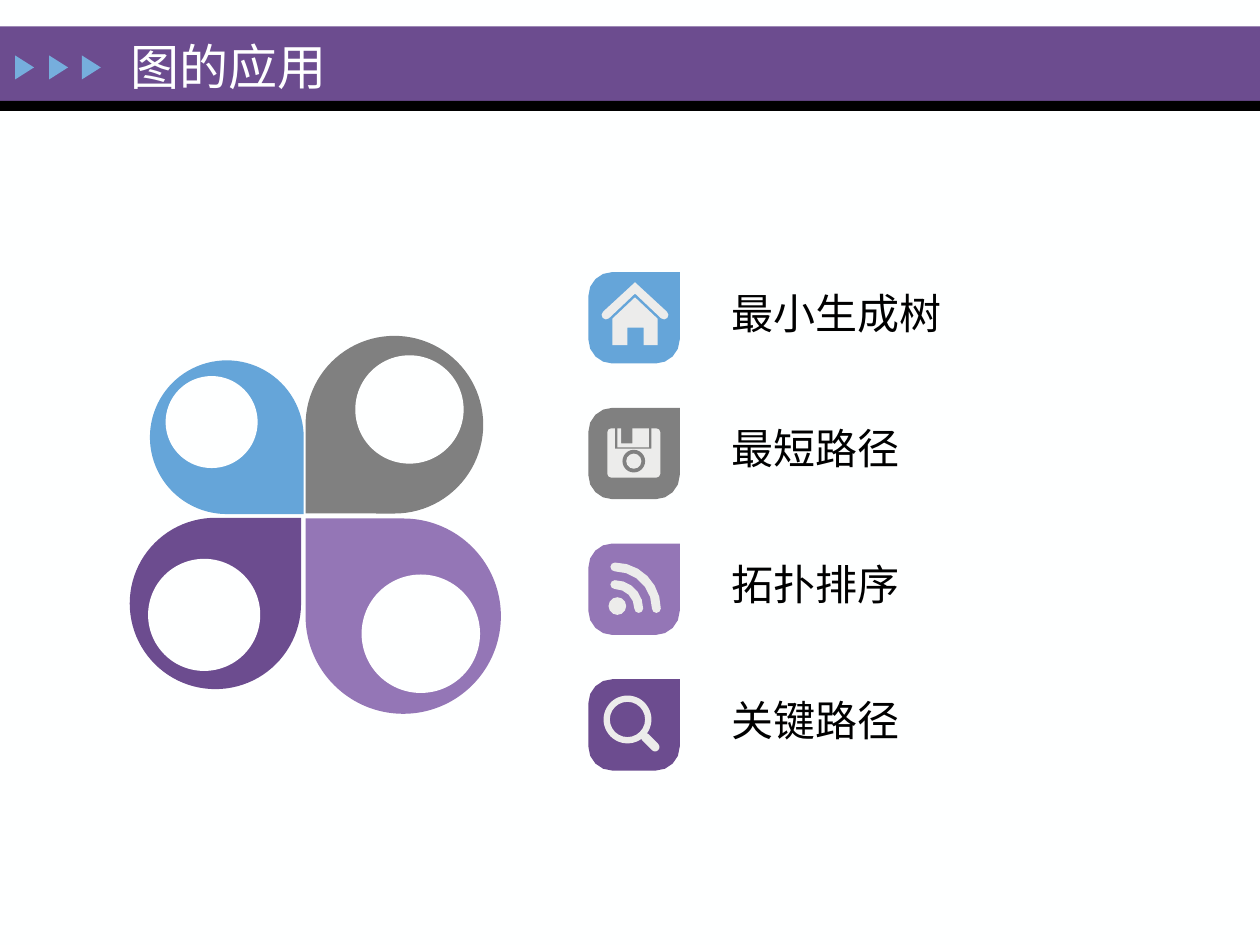
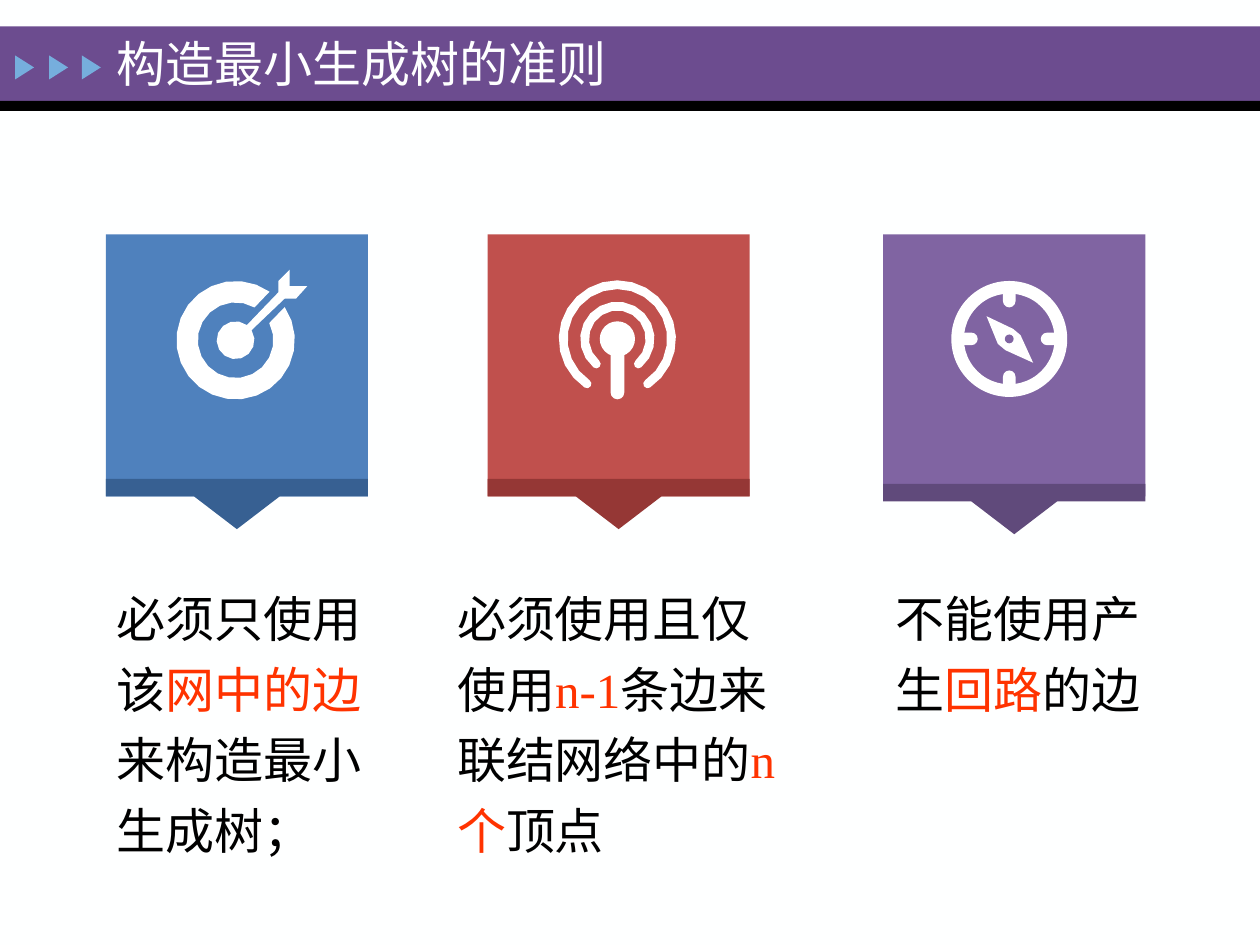
from math import acos, ceil, cos, degrees, radians, sin

from pptx import Presentation
from pptx.dml.color import RGBColor
from pptx.enum.shapes import MSO_SHAPE
from pptx.enum.text import MSO_ANCHOR
from pptx.util import Inches, Pt

# Colours and type shared by the slides
FONT = "Times New Roman"
PAPER = RGBColor(0xFE, 0xFF, 0xFF)
WHITE = RGBColor(0xFF, 0xFF, 0xFF)
BLACK = RGBColor(0x00, 0x00, 0x00)
HIGHLIGHT = RGBColor(0xFF, 0x33, 0x00)
ARROW_BLUE = RGBColor(0x76, 0xAE, 0xDD)
SKY = RGBColor(0x65, 0xA5, 0xD9)
GRAY = RGBColor(0x80, 0x80, 0x80)
LILAC = RGBColor(0x94, 0x76, 0xB6)
PURPLE = RGBColor(0x6C, 0x4C, 0x8F)
ICON_GRAY = RGBColor(0xEC, 0xEC, 0xEB)
CARD_BLUE = RGBColor(0x4F, 0x81, 0xBD)
CARD_BLUE_DARK = RGBColor(0x37, 0x60, 0x92)
CARD_RED = RGBColor(0xC0, 0x50, 0x4D)
CARD_RED_DARK = RGBColor(0x95, 0x37, 0x35)
CARD_VIOLET = RGBColor(0x80, 0x64, 0xA2)
CARD_VIOLET_DARK = RGBColor(0x60, 0x4A, 0x7B)

ARC_TOLERANCE = 0.004  # inches between an arc and its chords


# Outlines: lists of points in inches, angles clockwise from the right
def arc(x, y, radius, start, end):
    step = 2 * degrees(acos(1 - ARC_TOLERANCE / radius))
    count = ceil(abs(end - start) / step)
    angles = [radians(start + (end - start) * i / count) for i in range(count + 1)]
    return [(x + radius * cos(a), y + radius * sin(a)) for a in angles]


def round_band(x, y, radius, thickness, start, end):
    """Arc-shaped stroke with round ends."""
    half = thickness / 2
    center_line = arc(x, y, radius, start, end)
    return (arc(x, y, radius + half, start, end)
            + arc(*center_line[-1], half, end, end + 180)
            + arc(x, y, radius - half, end, start)
            + arc(*center_line[0], half, start + 180, start + 360))


# Drawing
def paint(shape, color):
    shape.shadow.inherit = False
    shape.fill.solid()
    shape.fill.fore_color.rgb = color
    shape.line.fill.background()
    return shape


def add_preset(slide, kind, left, top, width, height, color, rotation=0):
    shape = slide.shapes.add_shape(
        kind, Inches(left), Inches(top), Inches(width), Inches(height))
    shape.rotation = rotation
    return paint(shape, color)


def add_centered(slide, kind, x, y, radius, color, rotation=0):
    return add_preset(slide, kind, x - radius, y - radius,
                      2 * radius, 2 * radius, color, rotation)


def add_ring(slide, x, y, radius, thickness, color):
    ring = add_centered(slide, MSO_SHAPE.DONUT, x, y, radius, color)
    ring.adjustments[0] = thickness / (2 * radius)


def add_capsule(slide, x, y, length, thickness, color, rotation=0):
    capsule = add_preset(slide, MSO_SHAPE.ROUNDED_RECTANGLE, x - length / 2,
                         y - thickness / 2, length, thickness, color, rotation)
    capsule.adjustments[0] = 0.5


def add_outline(slide, color, outline):
    points = [(Inches(x), Inches(y)) for x, y in outline]
    builder = slide.shapes.build_freeform(*points[0])
    builder.add_line_segments(points[1:], close=True)
    paint(builder.convert_to_shape(), color)


def add_text(slide, left, top, width, height, runs, size,
             anchor=MSO_ANCHOR.TOP, line_spacing=None):
    box = slide.shapes.add_textbox(
        Inches(left), Inches(top), Inches(width), Inches(height))
    frame = box.text_frame
    frame.word_wrap = True
    frame.vertical_anchor = anchor
    paragraph = frame.paragraphs[0]
    if line_spacing:
        paragraph.line_spacing = line_spacing
    for text, color in runs:
        run = paragraph.add_run()
        run.text = text
        run.font.name = FONT
        run.font.size = Pt(size)
        run.font.color.rgb = color


def add_titled_slide(presentation, title, left, top, width, height):
    slide = presentation.slides.add_slide(presentation.slide_layouts[6])
    slide.background.fill.solid()
    slide.background.fill.fore_color.rgb = PAPER
    add_preset(slide, MSO_SHAPE.RECTANGLE, 0, 0.21, 10, 0.59, PURPLE)
    add_preset(slide, MSO_SHAPE.RECTANGLE, 0, 0.8, 10, 0.08, BLACK)
    for arrow_left in (0.1, 0.37, 0.63):
        add_preset(slide, MSO_SHAPE.ISOSCELES_TRIANGLE,
                   arrow_left, 0.46, 0.19, 0.15, ARROW_BLUE, 90)
    add_text(slide, left, top, width, height, [(title, PAPER)], 28, MSO_ANCHOR.MIDDLE)
    return slide


# Icons of the topic list
def add_house(slide):
    add_outline(slide, ICON_GRAY, [(5.04, 2.24)]
                + arc(4.81, 2.5, 0.035, 230, 50) + [(5.04, 2.33)]
                + arc(5.27, 2.5, 0.035, 130, -50))
    add_outline(slide, ICON_GRAY, [
        (4.86, 2.53), (4.86, 2.74), (4.98, 2.74), (4.98, 2.6), (5.11, 2.6),
        (5.11, 2.74), (5.22, 2.74), (5.22, 2.53), (5.04, 2.36)])


def add_floppy_disk(slide):
    add_outline(slide, ICON_GRAY, [
        (5.15, 3.4), (5.02, 3.4), (5.02, 3.52), (4.93, 3.52),
        (4.93, 3.4), (4.9, 3.4), (4.9, 3.55), (5.15, 3.55)])
    add_outline(slide, ICON_GRAY, [(5.17, 3.4), (5.17, 3.56), (4.88, 3.56), (4.88, 3.4)]
                + arc(4.85, 3.43, 0.03, 270, 180) + arc(4.85, 3.76, 0.03, 180, 90)
                + arc(5.21, 3.76, 0.03, 90, 0) + arc(5.21, 3.43, 0.03, 0, -90))
    add_centered(slide, MSO_SHAPE.OVAL, 5.03, 3.66, 0.09, GRAY)
    add_centered(slide, MSO_SHAPE.OVAL, 5.03, 3.66, 0.06, ICON_GRAY)


def add_feed_waves(slide):
    add_centered(slide, MSO_SHAPE.OVAL, 4.9, 4.81, 0.07, ICON_GRAY)
    for radius in (0.19, 0.33):
        add_outline(slide, ICON_GRAY, round_band(4.88, 4.83, radius, 0.07, -90, 0))


def add_magnifier(slide):
    add_ring(slide, 4.98, 5.71, 0.19, 0.05, ICON_GRAY)
    add_capsule(slide, 5.16, 5.89, 0.18, 0.07, ICON_GRAY, 45)


# Icons of the cards
def add_target(slide):
    x, y = 1.87, 2.7
    add_outline(slide, WHITE, arc(x, y, 0.47, -34, 305) + arc(x, y, 0.3, 300, -27))
    add_outline(slide, WHITE, [(2.3, 2.27), (2.3, 2.14), (2.21, 2.23), (2.21, 2.32)]
                + arc(x, y, 0.15, -53, -392)
                + [(2.26, 2.37), (2.35, 2.37), (2.44, 2.27)])


def add_antenna(slide):
    x, y = 4.9, 2.69
    add_outline(slide, WHITE, round_band(x, y, 0.43, 0.07, 124, 416))
    add_outline(slide, WHITE, round_band(x, y, 0.26, 0.07, 130, 410))
    add_centered(slide, MSO_SHAPE.OVAL, x, y, 0.14, WHITE)
    add_capsule(slide, x, 2.94, 0.46, 0.11, WHITE, 90)


def add_compass(slide):
    x, y = 8.01, 2.69
    add_ring(slide, x, y, 0.46, 0.1, WHITE)
    for dx, dy, rotation in ((1, 0, 0), (0, 1, 90), (-1, 0, 0), (0, -1, 90)):
        add_capsule(slide, x + 0.34 * dx, y + 0.34 * dy, 0.18, 0.1, WHITE, rotation)
    add_outline(slide, WHITE, [(7.83, 2.51), (7.92, 2.73), (7.98, 2.78),
                               (8.2, 2.88), (8.1, 2.66), (8.04, 2.61)])
    add_centered(slide, MSO_SHAPE.OVAL, x, y, 0.035, CARD_VIOLET)


# Larger elements
def add_petal(slide, color, center, radius, rotation, hole, hole_radius):
    add_centered(slide, MSO_SHAPE.TEAR, *center, radius, color, rotation)
    add_centered(slide, MSO_SHAPE.OVAL, *hole, hole_radius, PAPER)


def add_topic(slide, top, color, add_icon, label):
    left, size, radius = 4.67, 0.725, 0.19
    far = size - radius
    add_outline(slide, color, [(left + size, top)]
                + arc(left + far, top + far, radius, 0, 90)
                + arc(left + radius, top + far, radius, 90, 180)
                + arc(left + radius, top + radius, radius, 180, 270))
    add_icon(slide)
    add_text(slide, 5.71, top + 0.07, 2.9, 0.51, [(label, BLACK)], 24)


def add_card(slide, left, flap_top, color, dark_color, add_icon):
    side = 2.08
    right, middle, fold = left + side, left + side / 2, flap_top + 0.14
    add_preset(slide, MSO_SHAPE.RECTANGLE, left, 1.86, side, side, color)
    add_outline(slide, dark_color, [
        (left, flap_top), (right, flap_top), (right, fold), (middle + 0.34, fold),
        (middle, fold + 0.26), (middle - 0.34, fold), (left, fold)])
    add_icon(slide)


def build_applications(presentation):
    slide = add_titled_slide(presentation, "图的应用", 0.94, 0.15, 6.73, 0.75)
    add_petal(slide, SKY, (1.8, 3.47), 0.61, 90, (1.68, 3.35), 0.365)
    add_petal(slide, PURPLE, (1.71, 4.79), 0.68, 0, (1.62, 4.88), 0.445)
    add_petal(slide, GRAY, (3.13, 3.37), 0.705, 180, (3.25, 3.25), 0.43)
    add_petal(slide, LILAC, (3.2, 4.89), 0.775, 270, (3.34, 5.03), 0.47)
    topics = [
        (SKY, add_house, "最小生成树"),
        (GRAY, add_floppy_disk, "最短路径"),
        (LILAC, add_feed_waves, "拓扑排序"),
        (PURPLE, add_magnifier, "关键路径"),
    ]
    for index, topic in enumerate(topics):
        add_topic(slide, 2.16 + 1.077 * index, *topic)


def build_criteria(presentation):
    slide = add_titled_slide(presentation, "构造最小生成树的准则", 0.83, 0.22, 5.59, 0.56)
    add_card(slide, 0.84, 3.8, CARD_BLUE, CARD_BLUE_DARK, add_target)
    add_card(slide, 7.01, 3.84, CARD_VIOLET, CARD_VIOLET_DARK, add_compass)
    add_card(slide, 3.87, 3.8, CARD_RED, CARD_RED_DARK, add_antenna)
    criteria = [
        (0.83, 2.34, 2.36, [("必须只使用该", BLACK), ("网中的边", HIGHLIGHT),
                            ("来构造最小生成树；", BLACK)]),
        (3.53, 2.81, 2.36, [("必须使用且仅使用", BLACK), ("n-1", HIGHLIGHT),
                            ("条边来联结网络中的", BLACK), ("n个", HIGHLIGHT),
                            ("顶点", BLACK)]),
        (7.01, 2.4, 1.18, [("不能使用产生", BLACK), ("回路", HIGHLIGHT),
                           ("的边", BLACK)]),
    ]
    for left, width, height, runs in criteria:
        add_text(slide, left, 4.53, width, height, runs, 28, line_spacing=1.2)


def main():
    presentation = Presentation()
    presentation.slide_width = Inches(10)
    presentation.slide_height = Inches(7.5)
    build_applications(presentation)
    build_criteria(presentation)
    presentation.save("out.pptx")


if __name__ == "__main__":
    main()
